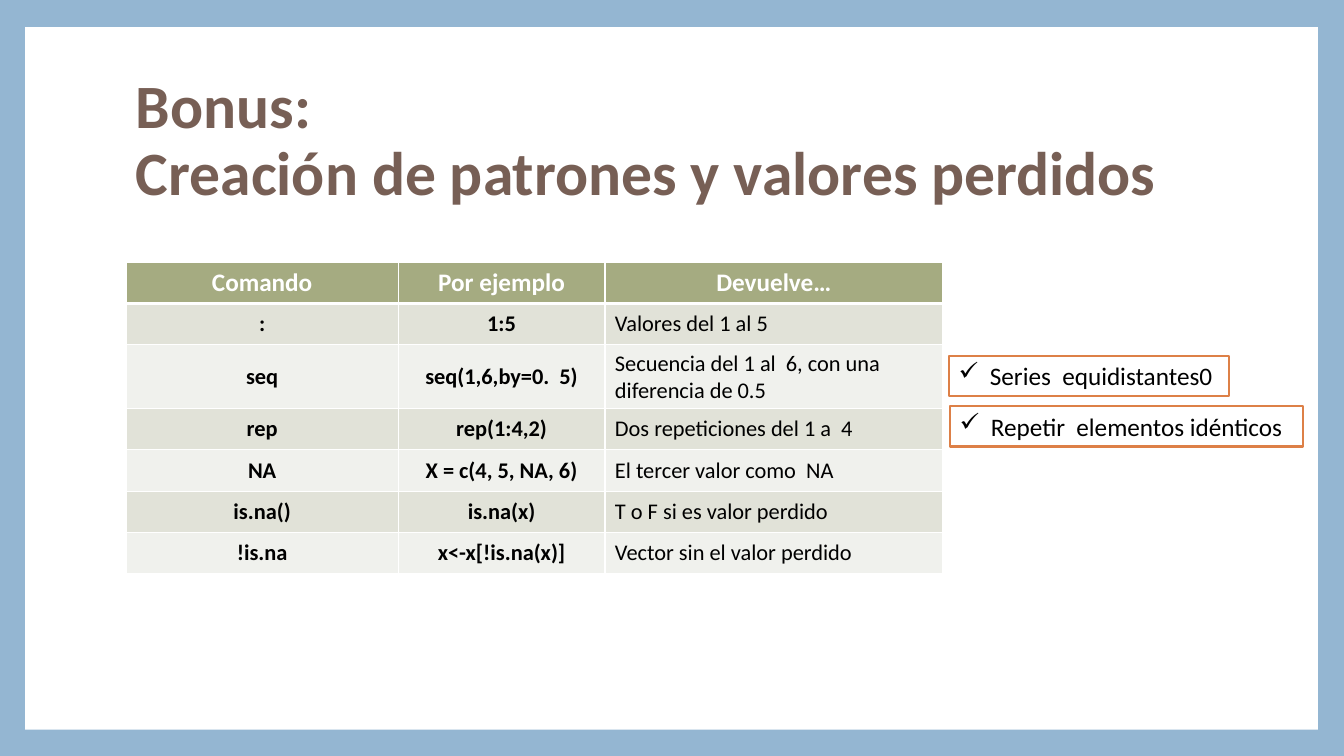
from lxml.etree import SubElement
from pptx import Presentation
from pptx.dml.color import RGBColor
from pptx.enum.shapes import MSO_SHAPE
from pptx.enum.text import MSO_ANCHOR, PP_ALIGN
from pptx.oxml.ns import qn
from pptx.util import Inches, Pt


def color(hex_value):
    return RGBColor.from_string(hex_value)


class SlideBuilder:
    font = "Calibri"
    white = "FFFFFF"
    black = "000000"
    brown = "775F55"
    blue = "94B6D2"
    orange = "DD8047"
    green = "A5AB81"
    bands = ("E1E2D8", "F0F1ED")

    def __init__(self, slide):
        self.slide = slide

    def background(self):
        fill = self.slide.background.fill
        fill.solid()
        fill.fore_color.rgb = color(self.blue)

    def style(self, paragraph, size, ink, bold=False, align=PP_ALIGN.LEFT):
        paragraph.alignment = align
        for run in paragraph.runs:
            run.font.name = self.font
            run.font.size = Pt(size)
            run.font.bold = bold
            run.font.color.rgb = color(ink)

    def panel(self, left, top, width, height, outline=None):
        panel = self.slide.shapes.add_shape(
            MSO_SHAPE.RECTANGLE, Inches(left), Inches(top), Inches(width), Inches(height))
        panel.shadow.inherit = False
        panel.fill.solid()
        panel.fill.fore_color.rgb = color(self.white)
        if outline:
            panel.line.color.rgb = color(outline)
            panel.line.width = Pt(1.5)
        else:
            panel.line.fill.background()
        return panel

    def title(self, text, left, top, width, height):
        frame = self.slide.shapes.add_textbox(
            Inches(left), Inches(top), Inches(width), Inches(height)).text_frame
        frame.word_wrap = True
        frame.vertical_anchor = MSO_ANCHOR.MIDDLE
        frame.text = text
        for paragraph in frame.paragraphs:
            paragraph.line_spacing = 0.9
            self.style(paragraph, 44, self.brown, bold=True)

    def note(self, text, left, top, width, height):
        frame = self.panel(left, top, width, height, self.orange).text_frame
        frame.word_wrap = True
        frame.vertical_anchor = MSO_ANCHOR.TOP
        frame.text = text
        paragraph = frame.paragraphs[0]
        properties = paragraph._p.get_or_add_pPr()
        properties.set("marL", str(Inches(0.31)))
        properties.set("indent", str(-Inches(0.31)))
        SubElement(properties, qn("a:buChar"), char="✓")
        self.style(paragraph, 18, self.black)

    def borders(self, cell, top, bottom):
        properties = cell._tc.get_or_add_tcPr()
        for side, points in (("L", 1), ("R", 1), ("T", top), ("B", bottom)):
            line = SubElement(properties, qn(f"a:ln{side}"), w=str(Pt(points)))
            solid = SubElement(line, qn("a:solidFill"))
            SubElement(solid, qn("a:srgbClr"), val=self.white)

    def cell(self, cell, text, row, column):
        header = row == 0
        self.borders(cell, 3 if row == 1 else 1, 3 if header else 1)
        cell.fill.solid()
        cell.fill.fore_color.rgb = color(self.green if header else self.bands[(row - 1) % 2])
        cell.vertical_anchor = MSO_ANCHOR.TOP if header else MSO_ANCHOR.MIDDLE
        cell.text_frame.text = text
        emphasized = header or column < 2
        self.style(cell.text_frame.paragraphs[0], 18 if header else 16,
                   self.white if header else self.black, emphasized,
                   PP_ALIGN.CENTER if emphasized else PP_ALIGN.LEFT)

    def table(self, rows, left, top, widths, row_height):
        table = self.slide.shapes.add_table(
            len(rows), len(widths), Inches(left), Inches(top),
            Inches(sum(widths)), Inches(row_height * len(rows))).table
        table.horz_banding = False
        for column, width in zip(table.columns, widths):
            column.width = Inches(width)
        for row, texts in enumerate(rows):
            table.rows[row].height = Inches(row_height)
            for column, text in enumerate(texts):
                self.cell(table.cell(row, column), text, row, column)


COMMANDS = [
    ("Comando", "Por ejemplo", "Devuelve…"),
    (":", "1:5", "Valores del 1 al 5"),
    ("seq", "seq(1,6,by=0.  5)", "Secuencia del 1 al  6, con una diferencia de 0.5"),
    ("rep", "rep(1:4,2)", "Dos repeticiones del 1 a  4"),
    ("NA", "X = c(4, 5, NA, 6)", "El tercer valor como  NA"),
    ("is.na()", "is.na(x)", "T o F si es valor perdido"),
    ("!is.na", "x<-x[!is.na(x)]", "Vector sin el valor perdido"),
]


def main():
    presentation = Presentation()
    presentation.slide_width = Inches(13.33)
    presentation.slide_height = Inches(7.5)
    builder = SlideBuilder(presentation.slides.add_slide(presentation.slide_layouts[6]))
    builder.background()
    builder.panel(0.25, 0.27, 12.82, 6.97)
    builder.title("Bonus:\nCreación de patrones y valores perdidos", 1.25, 0.67, 10.8, 1.48)
    builder.table(COMMANDS, 1.25, 2.6, (2.7, 2.05, 3.35), 0.41)
    builder.note("Series  equidistantes0", 9.41, 3.53, 2.78, 0.4)
    builder.note("Repetir  elementos idénticos", 9.42, 4.03, 3.5, 0.4)
    presentation.save("out.pptx")


if __name__ == "__main__":
    main()
